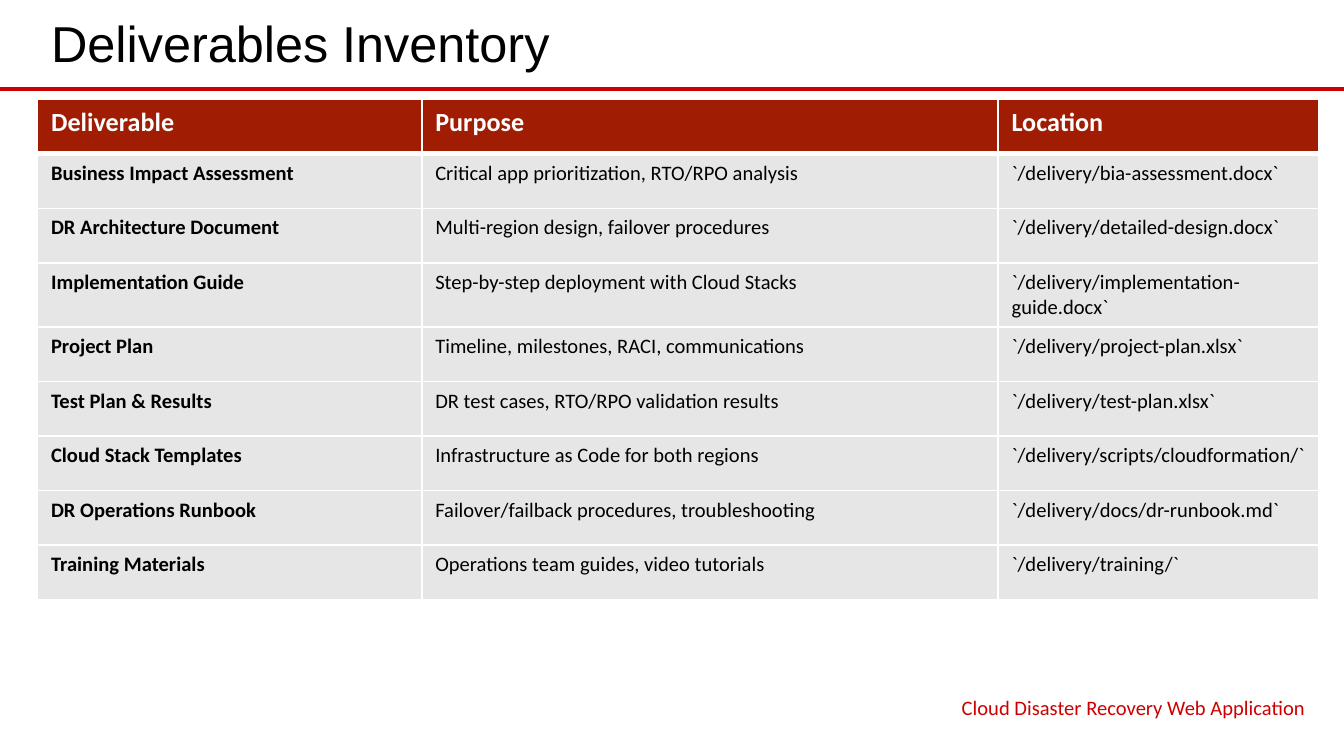
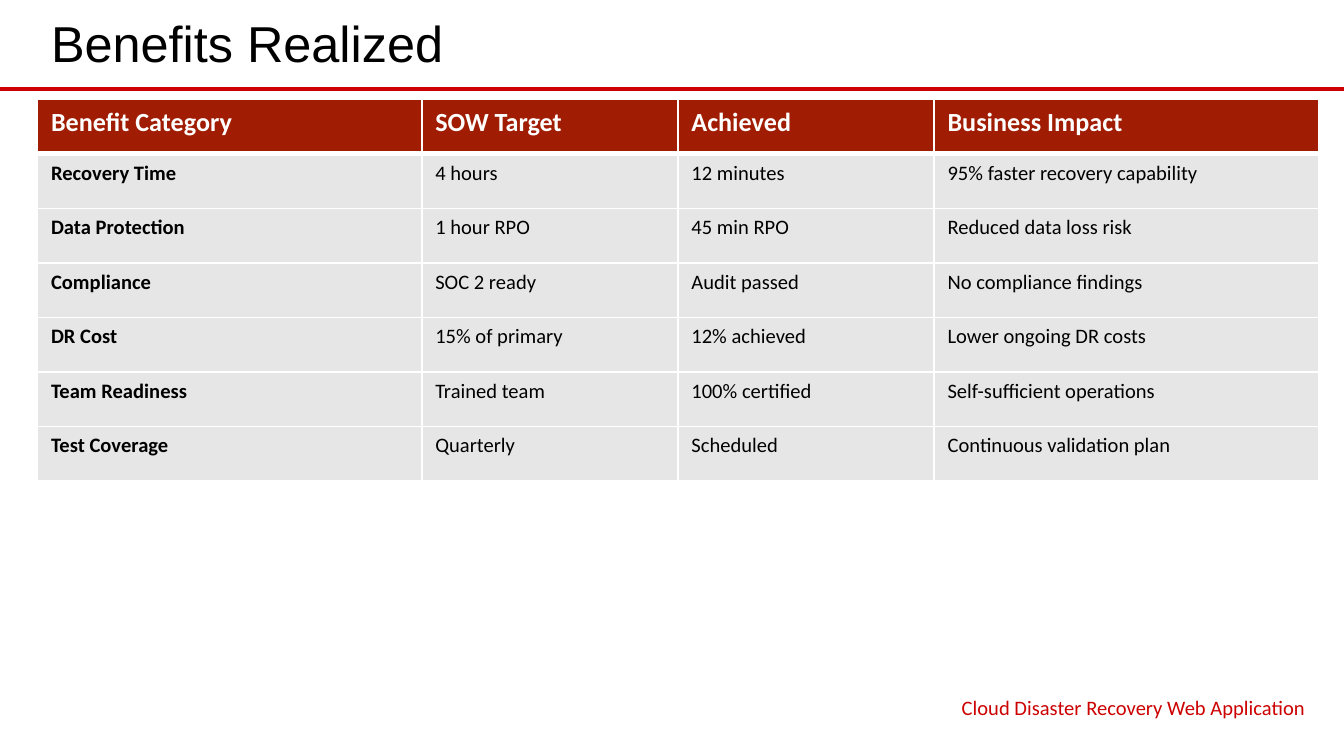
from dataclasses import dataclass

from lxml import etree
from pptx import Presentation
from pptx.dml.color import RGBColor
from pptx.enum.shapes import MSO_CONNECTOR
from pptx.enum.text import MSO_ANCHOR, PP_ALIGN
from pptx.oxml.ns import qn
from pptx.util import Inches, Pt

STRAIGHT = MSO_CONNECTOR.STRAIGHT
MIDDLE, TOP = MSO_ANCHOR.MIDDLE, MSO_ANCHOR.TOP
LEFT, RIGHT = PP_ALIGN.LEFT, PP_ALIGN.RIGHT
TITLE_ONLY = 5


@dataclass(frozen=True)
class Theme:
    accent: str = "CC0000"
    header: str = "A01C02"
    body: str = "E7E6E6"
    white: str = "FFFFFF"
    black: str = "000000"
    title_font: str = "Arial"
    body_font: str = "Calibri"
    title_size: float = 27
    header_size: float = 14
    body_size: float = 11
    rule_width: float = 2.25
    border: float = 1
    header_border: float = 3


T = Theme()

# Page frame, in inches, on a 16:9 slide
W = 10
H = W * 9 / 16
MARGIN, CONTENT_W = 0.28, 9.53
TITLE_TOP, TITLE_H = 0.04, 0.58
RULE_Y = 0.66
TABLE_TOP, ROW_H = 0.74, 3.65 / 9
FOOTER_TOP, FOOTER_W, FOOTER_H = 5.12, 3.52, 0.26
INSET, NUDGE = 0.1, 0.03
FOOTER = "Cloud Disaster Recovery Web Application"

TITLE_STYLE = {"name": T.title_font, "size": T.title_size, "color": T.black, "bold": False}
FOOTER_STYLE = {"name": T.body_font, "size": T.body_size, "color": T.accent, "bold": False}
HEADER_STYLE = {"name": T.body_font, "size": T.header_size, "color": T.white, "bold": True}
BODY_STYLE = {"name": T.body_font, "size": T.body_size, "color": T.black, "bold": False}
LABEL_STYLE = {**BODY_STYLE, "bold": True}

# Slides: title, column shares of the table width, rows with the header first
SLIDES = [
    ("Deliverables Inventory", (0.30, 0.45, 0.25), [
        ("Deliverable", "Purpose", "Location"),
        ("Business Impact Assessment", "Critical app prioritization, RTO/RPO analysis",
         "`/delivery/bia-assessment.docx`"),
        ("DR Architecture Document", "Multi-region design, failover procedures",
         "`/delivery/detailed-design.docx`"),
        ("Implementation Guide", "Step-by-step deployment with Cloud Stacks",
         "`/delivery/implementation-guide.docx`"),
        ("Project Plan", "Timeline, milestones, RACI, communications",
         "`/delivery/project-plan.xlsx`"),
        ("Test Plan & Results", "DR test cases, RTO/RPO validation results",
         "`/delivery/test-plan.xlsx`"),
        ("Cloud Stack Templates", "Infrastructure as Code for both regions",
         "`/delivery/scripts/cloudformation/`"),
        ("DR Operations Runbook", "Failover/failback procedures, troubleshooting",
         "`/delivery/docs/dr-runbook.md`"),
        ("Training Materials", "Operations team guides, video tutorials",
         "`/delivery/training/`"),
    ]),
    ("Benefits Realized", (0.30, 0.20, 0.20, 0.30), [
        ("Benefit Category", "SOW Target", "Achieved", "Business Impact"),
        ("Recovery Time", "4 hours", "12 minutes", "95% faster recovery capability"),
        ("Data Protection", "1 hour RPO", "45 min RPO", "Reduced data loss risk"),
        ("Compliance", "SOC 2 ready", "Audit passed", "No compliance findings"),
        ("DR Cost", "15% of primary", "12% achieved", "Lower ongoing DR costs"),
        ("Team Readiness", "Trained team", "100% certified", "Self-sufficient operations"),
        ("Test Coverage", "Quarterly", "Scheduled", "Continuous validation plan"),
    ]),
]


def write(tf, text, style, align=LEFT):
    """Put one formatted run in a text frame."""
    p = tf.paragraphs[0]
    p.alignment = align
    r = p.add_run()
    r.text = text
    for key, value in style.items():
        if key == "color":
            r.font.color.rgb = RGBColor.from_string(value)
        else:
            setattr(r.font, key, Pt(value) if key == "size" else value)


def set_frame(tf, top=0, bottom=0):
    for key, value in {"word_wrap": True, "vertical_anchor": MIDDLE,
                       "margin_left": Inches(INSET), "margin_right": Inches(INSET),
                       "margin_top": Inches(top), "margin_bottom": Inches(bottom)}.items():
        setattr(tf, key, value)


def add_title(s, text):
    sp = s.shapes.title
    box = {"left": MARGIN, "top": TITLE_TOP, "width": CONTENT_W, "height": TITLE_H}
    for key, value in box.items():
        setattr(sp, key, Inches(value))
    set_frame(sp.text_frame, bottom=NUDGE)
    write(sp.text_frame, text, TITLE_STYLE)


def add_rule(s):
    y = Inches(RULE_Y)
    line = s.shapes.add_connector(STRAIGHT, 0, y, Inches(W), y)
    line.line.color.rgb = RGBColor.from_string(T.accent)
    line.line.width = Pt(T.rule_width)
    etree.SubElement(line._element.spPr, qn("a:effectLst"))


def add_footer(s):
    left = MARGIN + CONTENT_W - FOOTER_W
    sp = s.shapes.add_textbox(*map(Inches, (left, FOOTER_TOP, FOOTER_W, FOOTER_H)))
    set_frame(sp.text_frame, top=NUDGE)
    write(sp.text_frame, FOOTER, FOOTER_STYLE, RIGHT)


def set_borders(cell, bottom):
    """White borders; the header row has a heavier bottom."""
    tcPr = cell._tc.get_or_add_tcPr()
    for side, width in (("L", T.border), ("R", T.border), ("T", T.border), ("B", bottom)):
        ln = etree.SubElement(tcPr, qn(f"a:ln{side}"), w=str(Pt(width)))
        fill = etree.SubElement(ln, qn("a:solidFill"))
        etree.SubElement(fill, qn("a:srgbClr"), val=T.white)


def add_grid(s, shares, rows):
    frame = s.shapes.add_table(len(rows), len(shares), *map(
        Inches, (MARGIN, TABLE_TOP, CONTENT_W, ROW_H * len(rows))))
    table = frame.table
    table.horz_banding = False
    for column, share in zip(table.columns, shares):
        column.width = Inches(CONTENT_W * share)
    for i, row in enumerate(rows):
        table.rows[i].height = Inches(ROW_H)
        for j, text in enumerate(row):
            cell = table.cell(i, j)
            set_borders(cell, T.border if i else T.header_border)
            cell.fill.solid()
            cell.fill.fore_color.rgb = RGBColor.from_string(T.body if i else T.header)
            cell.vertical_anchor = TOP
            style = HEADER_STYLE if i == 0 else LABEL_STYLE if j == 0 else BODY_STYLE
            write(cell.text_frame, text, style)


def main():
    prs = Presentation()
    prs.slide_width, prs.slide_height = Inches(W), Inches(H)
    for title, shares, rows in SLIDES:
        s = prs.slides.add_slide(prs.slide_layouts[TITLE_ONLY])
        add_rule(s)
        add_title(s, title)
        add_grid(s, shares, rows)
        add_footer(s)
    prs.save("out.pptx")


if __name__ == "__main__":
    main()
